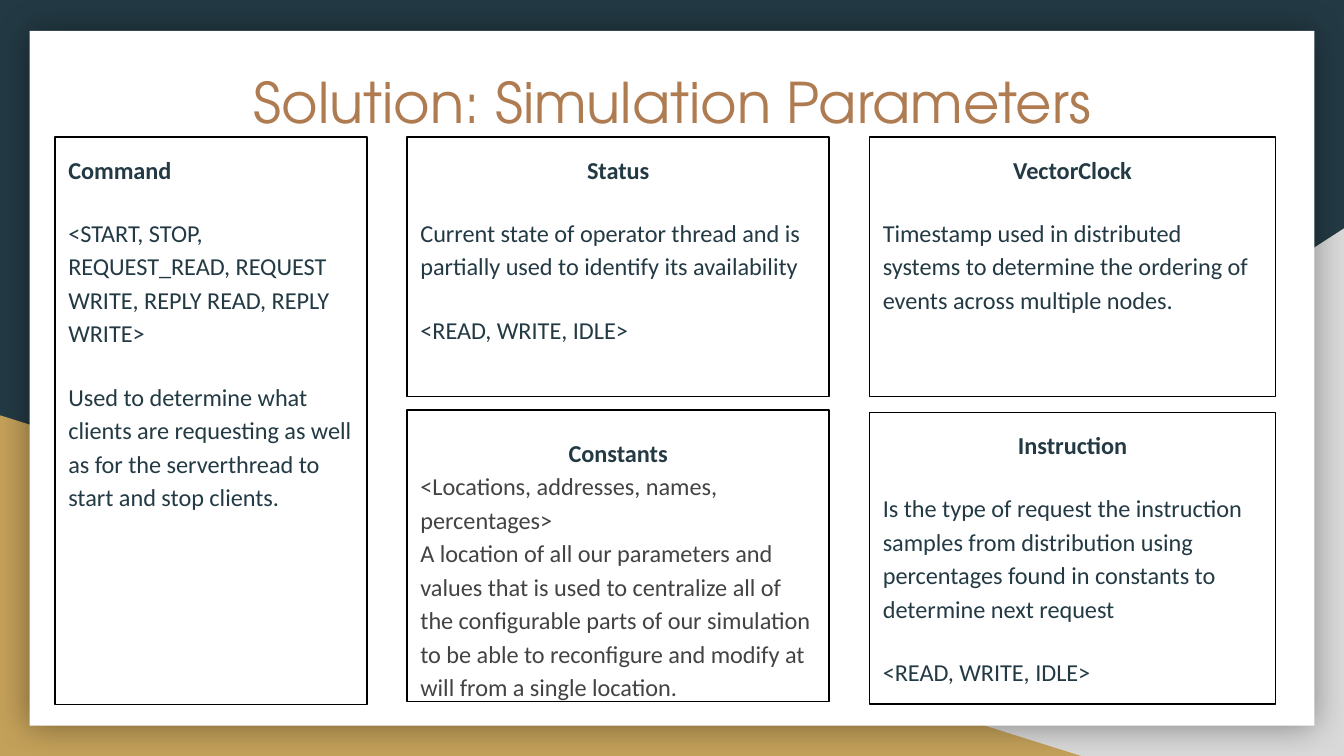
from dataclasses import dataclass
from lxml.etree import SubElement
from pptx import Presentation
from pptx.dml.color import RGBColor
from pptx.enum.shapes import MSO_SHAPE
from pptx.enum.text import MSO_ANCHOR, PP_ALIGN
from pptx.oxml.ns import qn
from pptx.util import Inches, Pt


@dataclass(frozen=True)
class Theme:
    navy: RGBColor = RGBColor.from_string("233A44")
    gold: RGBColor = RGBColor.from_string("C4A15A")
    bronze: RGBColor = RGBColor.from_string("AF7B51")
    silver: RGBColor = RGBColor.from_string("D9D9D9")
    gray: RGBColor = RGBColor.from_string("434343")
    white: RGBColor = RGBColor.from_string("FFFFFF")
    black: RGBColor = RGBColor.from_string("000000")
    title_font: str = "TeX Gyre Adventor"
    body_font: str = "Calibri"
    title_size: Pt = Pt(30)
    body_size: Pt = Pt(13)
    gap: Pt = Pt(16)


theme = Theme()
prs = Presentation()
prs.slide_width = Inches(10)
prs.slide_height = Inches(10 * 9 / 16)
slide = prs.slides.add_slide(prs.slide_layouts[6])
slide.background.fill.solid()
slide.background.fill.fore_color.rgb = theme.navy


def add_panel(preset, bounds, fill=None, line=None):
    panel = slide.shapes.add_shape(preset, *[Inches(v) for v in bounds])
    panel.shadow.inherit = False
    if fill is None:
        panel.fill.background()
    else:
        panel.fill.solid()
        panel.fill.fore_color.rgb = fill
    if line is None:
        panel.line.fill.background()
    else:
        panel.line.color.rgb = line
        panel.line.width = Pt(0.75)
    return panel


def add_paragraph(frame, index, text, font, size, color, bold=False):
    paragraph = frame.add_paragraph() if index else frame.paragraphs[0]
    paragraph.alignment = PP_ALIGN.LEFT
    run = paragraph.add_run()
    run.text = text
    run.font.name, run.font.size = font, size
    run.font.color.rgb, run.font.bold = color, bold
    return paragraph


silver_corner = add_panel(MSO_SHAPE.RIGHT_TRIANGLE, (3.92, 1.7, 6.08, 3.93), theme.silver)
silver_corner._element.spPr.xfrm.set("flipH", "1")
add_panel(MSO_SHAPE.RIGHT_TRIANGLE, (0, 3.09, 8.06, 2.54), theme.gold)

page = add_panel(MSO_SHAPE.RECTANGLE, (0.22, 0.23, 9.56, 5.17), theme.white)
effects = page._element.spPr.find(qn("a:effectLst"))
glow = SubElement(effects, qn("a:outerShdw"), blurRad=str(Pt(18)), dist="0", dir="0", algn="ctr", rotWithShape="0")
shade = SubElement(glow, qn("a:srgbClr"), val=str(theme.black))
SubElement(shade, qn("a:alpha"), val="40000")

title = slide.shapes.add_textbox(Inches(0.9), Inches(0.4), Inches(8.21), Inches(0.53))
heading = title.text_frame
heading.word_wrap = True
heading.vertical_anchor = MSO_ANCHOR.TOP
heading.margin_left = heading.margin_right = heading.margin_top = heading.margin_bottom = Inches(0.1)
add_paragraph(heading, 0, "Solution: Simulation Parameters", theme.title_font,
              theme.title_size, theme.bronze).alignment = PP_ALIGN.CENTER

left, middle, right = (0.41, 2.32), (3.03, 3.14), (6.47, 3.02)
cards = [
    (left, 1.02, 4.22, "Command", [
        "<START, STOP, REQUEST_READ, REQUEST WRITE, REPLY READ, REPLY WRITE>",
        "Used to determine what clients are requesting as well as for the serverthread to start and stop clients."]),
    (middle, 3.05, 2.17, "Constants", [
        "<Locations, addresses, names, percentages>",
        "A location of all our parameters and values that is used to centralize all of the configurable parts "
        "of our simulation to be able to reconfigure and modify at will from a single location."]),
    (middle, 1.02, 1.93, "Status", [
        "Current state of operator thread and is partially used to identify its availability",
        "<READ, WRITE, IDLE>"]),
    (right, 3.07, 2.17, "Instruction", [
        "Is the type of request the instruction samples from distribution using percentages found in constants "
        "to determine next request",
        "<READ, WRITE, IDLE>"]),
    (right, 1.02, 1.93, "VectorClock", [
        "Timestamp used in distributed systems to determine the ordering of events across multiple nodes."]),
]

for (x, width), y, height, name, details in cards:
    compact = name == "Constants"
    card = add_panel(MSO_SHAPE.RECTANGLE, (x, y, width, height), line=theme.black)
    body = card.text_frame
    body.word_wrap = True
    body.vertical_anchor = MSO_ANCHOR.TOP
    body.margin_left = body.margin_right = body.margin_top = body.margin_bottom = Inches(0.1)
    label = add_paragraph(body, 0, name, theme.body_font, theme.body_size, theme.navy, True)
    label.alignment = PP_ALIGN.LEFT if name == "Command" else PP_ALIGN.CENTER
    label.line_spacing = 1.5 if compact else 1.15
    for index, text in enumerate(details, 1):
        color = theme.gray if compact else theme.navy
        detail = add_paragraph(body, index, text, theme.body_font, theme.body_size, color)
        detail.line_spacing = 1.15
        detail.space_before = Pt(0) if compact else theme.gap
        if index == len(details) and not compact:
            detail.space_after = theme.gap

prs.save("out.pptx")
